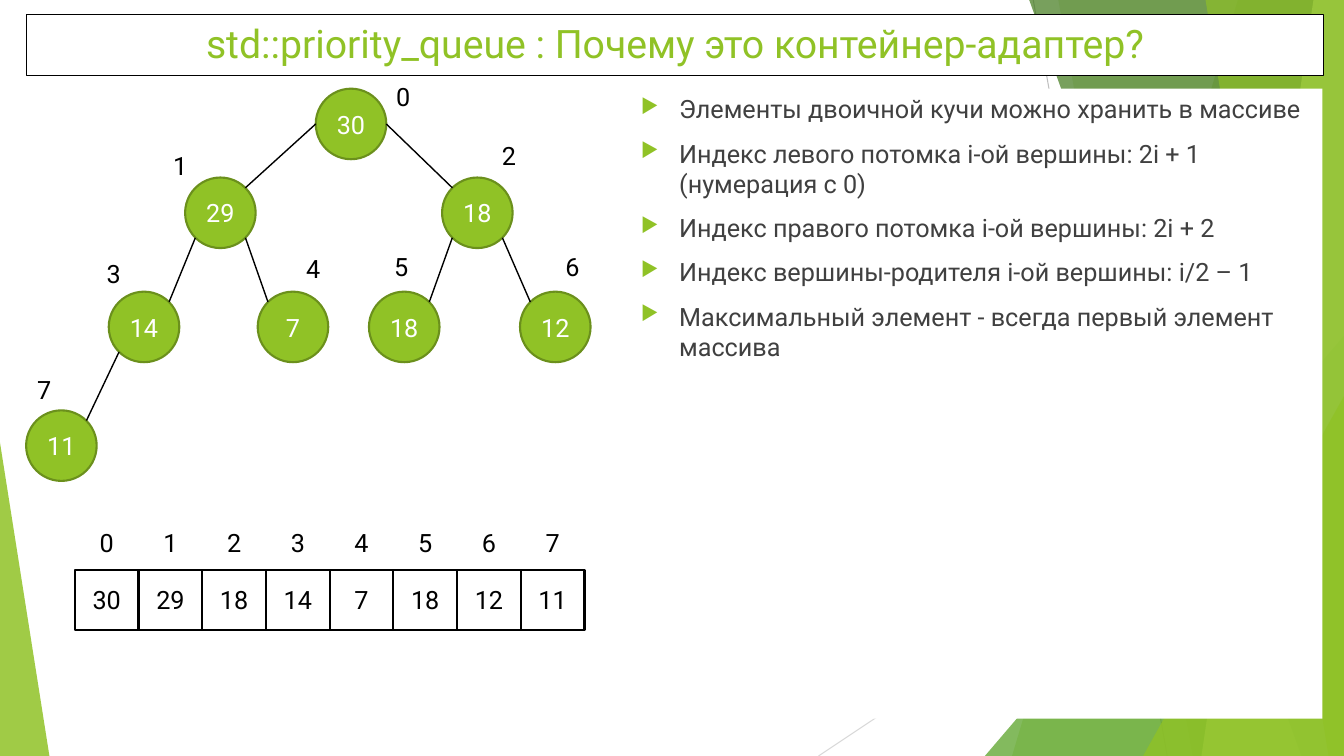
from lxml import etree
from pptx import Presentation
from pptx.dml.color import RGBColor
from pptx.enum.shapes import MSO_CONNECTOR, MSO_SHAPE
from pptx.enum.text import MSO_ANCHOR, MSO_AUTO_SIZE, PP_ALIGN
from pptx.oxml.ns import qn
from pptx.util import Inches, Pt

COLORS = {
    "lime": "90C226", "lime_edge": "6B901C", "green": "54A021",
    "forest": "3F7819", "pale": "C0E474", "white": "FFFFFF",
    "black": "000000", "text": "404040", "gray": "BFBFBF", "silver": "D9D9D9",
}
FONT = "Roboto"
WIDTH, HEIGHT = Inches(13.333), Inches(7.5)
TITLE = "std::priority_queue : Почему это контейнер-адаптер?"
FACTS = [
    "Элементы двоичной кучи можно хранить в массиве",
    "Индекс левого потомка i-oй вершины: 2i + 1 (нумерация с 0)",
    "Индекс правого потомка i-ой вершины: 2i + 2",
    "Индекс вершины-родителя i-ой вершины: i/2 – 1",
    "Максимальный элемент - всегда первый элемент массива",
]
HEAP = [30, 29, 18, 14, 7, 18, 12, 11]

# All places are percentages of the slide's width and height.
LEVELS = [16.4, 28.15, 43.25, 58.95]
NODE_COLUMNS = [26.12, 16.4, 35.52, 10.72, 21.8, 30.08, 41.32, 4.57]
INDEX_PLACES = [
    (28.73, 10.13), (12.15, 19.2), (36.6, 17.87), (7.2, 33.47),
    (22.05, 32.8), (28.58, 32.53), (41.33, 32.53), (2.03, 48.8),
]
NODE_SIZE = Inches(0.7)
INDEX_SIZE = (2.55, 5.33)
CELL_LEFT, CELL_TOP, CELL_WIDTH, CELL_HEIGHT = 5.57, 75.4, 4.74, 7.9
CELL_INDEX_LEFT, CELL_INDEX_TOP = 6.68, 69.1


def across(share):
    return round(WIDTH * share / 100)


def down(share):
    return round(HEIGHT * share / 100)


def area(left, top, width, height):
    return across(left), down(top), across(width), down(height)


def rgb(name):
    return RGBColor.from_string(COLORS[name])


def paint(shape, fill, edge=None, weight=1.5, opacity=100):
    shape.fill.solid()
    shape.fill.fore_color.rgb = rgb(fill)
    if opacity < 100:
        color = shape.element.spPr.find(qn("a:solidFill"))[0]
        etree.SubElement(color, qn("a:alpha"), val=str(opacity * 1000))
    if edge:
        shape.line.color.rgb = rgb(edge)
        shape.line.width = Pt(weight)
    else:
        shape.line.fill.background()


def style(para, color, size=18, align=PP_ALIGN.CENTER):
    para.alignment = align
    font = para.font
    font.name, font.size, font.color.rgb = FONT, Pt(size), rgb(color)


def add_line(slide, start, end, color, weight):
    line = slide.shapes.add_connector(MSO_CONNECTOR.STRAIGHT, *start, *end)
    line.line.color.rgb = rgb(color)
    line.line.width = Pt(weight)
    etree.SubElement(line.element.spPr, qn("a:effectLst"))


def add_strip(slide, top_left, bottom_left, color, opacity):
    """Full-height band reaching the right edge of the slide."""
    builder = slide.shapes.build_freeform(across(top_left), 0)
    builder.add_line_segments(
        [(WIDTH, 0), (WIDTH, HEIGHT), (across(bottom_left), HEIGHT)])
    strip = builder.convert_to_shape()
    strip.shadow.inherit = False
    paint(strip, color, opacity=opacity)


def add_corner(slide, left, top, width, apex, color, opacity):
    """Right triangle standing on the bottom edge of the slide."""
    corner = slide.shapes.add_shape(
        MSO_SHAPE.ISOSCELES_TRIANGLE, *area(left, top, width, 100 - top))
    corner.adjustments[0] = apex
    corner.shadow.inherit = False
    paint(corner, color, opacity=opacity)


def add_backdrop(slide):
    for start, end, color in [((76.88, 0), (86.85, 100), "gray"),
                              ((100, 53.73), (60.9, 100), "silver")]:
        add_line(slide, (across(start[0]), down(start[1])),
                 (across(end[0]), down(end[1])), color, 0.75)
    add_strip(slide, 92.1, 75.3, "lime", 30)
    add_strip(slide, 78.75, 88.73, "lime", 20)
    add_corner(slide, 73.28, 44.4, 26.72, 1, "green", 72)
    add_strip(slide, 76.58, 96.83, "forest", 70)
    add_strip(slide, 97.73, 89.4, "pale", 70)
    add_strip(slide, 89.7, 98.85, "lime", 65)
    add_corner(slide, 85.05, 52.4, 14.95, 1, "lime", 80)
    add_corner(slide, 0, 58.53, 3.68, 0, "lime", 85)


def add_bullet(para):
    props = para._p.get_or_add_pPr()
    props.set("marL", str(Inches(0.38)))
    props.set("indent", str(-Inches(0.38)))
    color = etree.SubElement(props, qn("a:buClr"))
    etree.SubElement(color, qn("a:srgbClr"), val=COLORS["lime"])
    etree.SubElement(props, qn("a:buSzPct"), val="80000")
    etree.SubElement(props, qn("a:buChar"), char="▶")


def add_facts(slide):
    box = slide.shapes.add_textbox(*area(46.95, 11.73, 51.45, 83.33))
    paint(box, "white")
    frame = box.text_frame
    frame.word_wrap = True
    for number, fact in enumerate(FACTS):
        para = frame.add_paragraph() if number else frame.paragraphs[0]
        para.text = fact
        add_bullet(para)
        para.space_before = Pt(10 if number else 0)
        style(para, "text", align=PP_ALIGN.LEFT)


def set_title(slide):
    title = slide.shapes.title
    title.left, title.top, title.width, title.height = area(
        1.95, 1.87, 96.53, 8.13)
    paint(title, "white", "black", 0.75)
    frame = title.text_frame
    frame.text = TITLE
    frame.auto_size = MSO_AUTO_SIZE.NONE
    frame.vertical_anchor = MSO_ANCHOR.TOP
    style(frame.paragraphs[0], "lime", 28)
    title.element.getparent().append(title.element)  # in front of the backdrop


def add_value(slide, kind, place, value, fill, edge, color):
    shape = slide.shapes.add_shape(kind, *place)
    shape.shadow.inherit = False
    paint(shape, fill, edge)
    frame = shape.text_frame
    frame.margin_left = frame.margin_right = 0
    frame.vertical_anchor = MSO_ANCHOR.MIDDLE
    frame.text = str(value)
    style(frame.paragraphs[0], color)


def add_index(slide, left, top, index):
    box = slide.shapes.add_textbox(*area(left, top, *INDEX_SIZE))
    box.text_frame.word_wrap = False
    box.text_frame.text = str(index)
    style(box.text_frame.paragraphs[0], "black", align=PP_ALIGN.LEFT)


def node_center(index):
    level = (index + 1).bit_length() - 1
    return across(NODE_COLUMNS[index]), down(LEVELS[level])


def add_edge(slide, child):
    """Join a node to its parent; the root's edges leave from its sides."""
    parent = (child - 1) // 2
    side = -1 if child % 2 else 1
    radius = NODE_SIZE / 2
    slant = round(radius * 0.71)
    (px, py), (cx, cy) = node_center(parent), node_center(child)
    start = (px + side * slant, py + slant) if parent else (
        px + side * round(radius), py)
    add_line(slide, start, (cx - side * slant, cy - slant), "black", 1)


def add_heap_tree(slide):
    for index, value in enumerate(HEAP):
        x, y = node_center(index)
        place = (x - NODE_SIZE // 2, y - NODE_SIZE // 2, NODE_SIZE, NODE_SIZE)
        add_value(slide, MSO_SHAPE.OVAL, place, value,
                  "lime", "lime_edge", "white")
        add_index(slide, *INDEX_PLACES[index], index)
        if index:
            add_edge(slide, index)


def add_heap_array(slide):
    for index, value in enumerate(HEAP):
        shift = index * CELL_WIDTH
        place = area(CELL_LEFT + shift, CELL_TOP, CELL_WIDTH, CELL_HEIGHT)
        add_value(slide, MSO_SHAPE.RECTANGLE, place, value,
                  "white", "black", "black")
        add_index(slide, CELL_INDEX_LEFT + shift, CELL_INDEX_TOP, index)


def main():
    deck = Presentation()
    deck.slide_width, deck.slide_height = WIDTH, HEIGHT
    slide = deck.slides.add_slide(deck.slide_layouts[5])
    add_backdrop(slide)
    add_facts(slide)
    set_title(slide)
    add_heap_tree(slide)
    add_heap_array(slide)
    deck.save("out.pptx")


if __name__ == "__main__":
    main()
